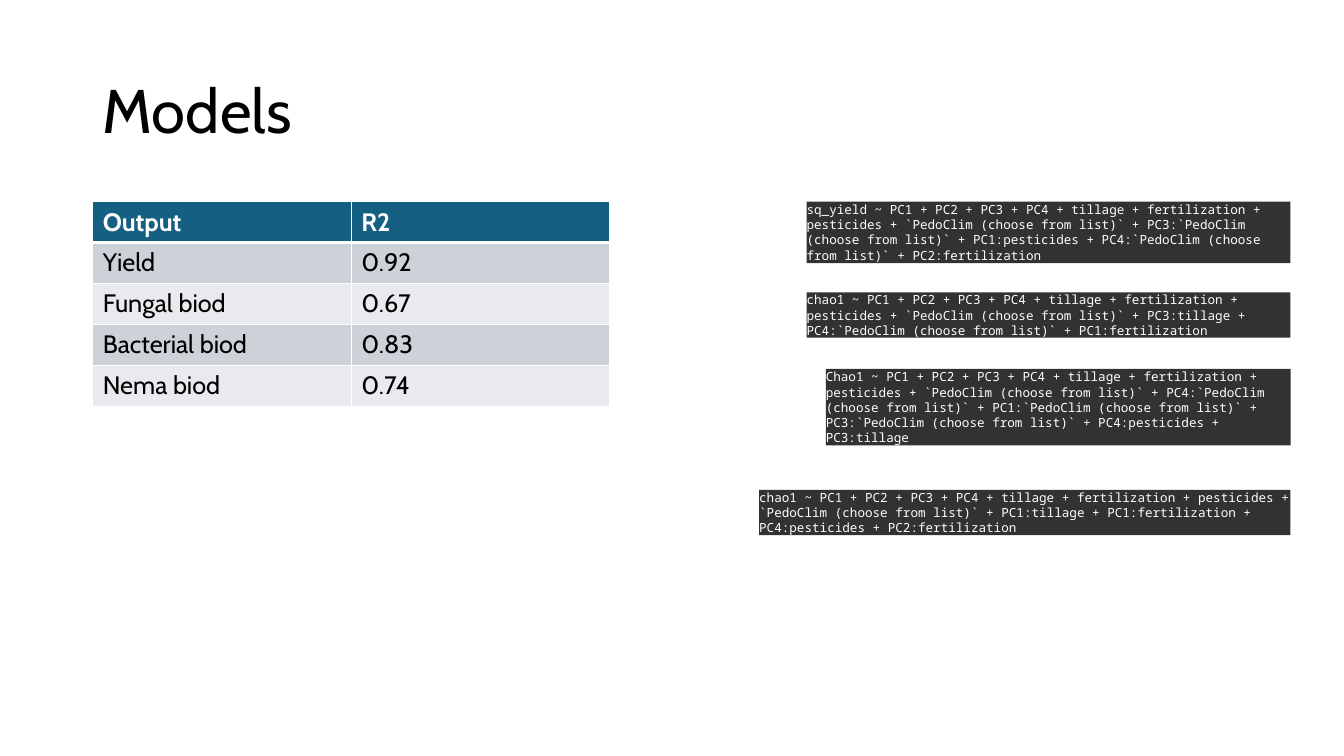
from pptx import Presentation
from pptx.dml.color import RGBColor
from pptx.enum.shapes import MSO_SHAPE
from pptx.enum.text import MSO_ANCHOR, MSO_AUTO_SIZE, PP_ALIGN
from pptx.oxml import parse_xml
from pptx.oxml.ns import nsdecls
from pptx.util import Inches, Pt

COLORS = {
    "text": "000000",
    "light": "FFFFFF",
    "header": "156082",
    "odd_row": "CCD2D8",
    "even_row": "E8EAED",
    "code": "323232",
}
BODY_FONT = "Cabin"
CODE_FONT = "Noto Sans Mono"


def rgb(name):
    return RGBColor.from_string(COLORS[name])


def write(frame, text, size=18, font=BODY_FONT, color="text", bold=False, spacing=None):
    frame.word_wrap = True
    paragraph = frame.paragraphs[0]
    paragraph.alignment = PP_ALIGN.LEFT
    if spacing:
        paragraph.line_spacing = spacing
    run = paragraph.add_run()
    run.text = text
    run.font.size = Pt(size)
    run.font.name = font
    run.font.bold = bold
    run.font.color.rgb = rgb(color)


def border(cell, side, width):
    cell._tc.get_or_add_tcPr().append(parse_xml(
        f'<a:{side} {nsdecls("a")} w="{Pt(width)}"><a:solidFill>'
        f'<a:srgbClr val="{COLORS["light"]}"/></a:solidFill></a:{side}>'))


class SlideBuilder:
    def __init__(self, slide):
        self.slide = slide

    def title(self, text, left, top, width, height):
        heading = self.slide.shapes.add_textbox(
            Inches(left), Inches(top), Inches(width), Inches(height))
        heading.text_frame.vertical_anchor = MSO_ANCHOR.MIDDLE
        write(heading.text_frame, text, size=44, spacing=0.9)

    def table(self, rows, left, top, width, height):
        grid = self.slide.shapes.add_table(
            len(rows), len(rows[0]), Inches(left), Inches(top),
            Inches(width), Inches(height)).table
        for r, row in enumerate(rows):
            header = r == 0
            fill = "header" if header else "odd_row" if r % 2 else "even_row"
            for c, text in enumerate(row):
                cell = grid.cell(r, c)
                for side in ("lnL", "lnR", "lnT", "lnB"):
                    # The rule between header and body is heavier
                    heavy = (header and side == "lnB") or (r == 1 and side == "lnT")
                    border(cell, side, 3 if heavy else 1)
                cell.fill.solid()
                cell.fill.fore_color.rgb = rgb(fill)
                write(cell.text_frame, text, bold=header,
                      color="light" if header else "text")

    def code(self, text, left, top, width, height):
        block = self.slide.shapes.add_shape(
            MSO_SHAPE.RECTANGLE, Inches(left), Inches(top), Inches(width), Inches(height))
        block.shadow.inherit = False
        block.fill.solid()
        block.fill.fore_color.rgb = rgb("code")
        block.line.fill.background()
        frame = block.text_frame
        frame.margin_left = frame.margin_right = 0
        frame.margin_top = frame.margin_bottom = 0
        frame.vertical_anchor = MSO_ANCHOR.MIDDLE
        frame.auto_size = MSO_AUTO_SIZE.SHAPE_TO_FIT_TEXT
        write(frame, text, size=9, font=CODE_FONT, color="light")


SCORES = [
    ("Output", "R2"),
    ("Yield", "0.92"),
    ("Fungal biod", "0.67"),
    ("Bacterial biod", "0.83"),
    ("Nema biod", "0.74"),
]

# Every model shares its main effects and adds its own interactions
SITE = "`PedoClim (choose from list)`"
MAIN_EFFECTS = f"PC1 + PC2 + PC3 + PC4 + tillage + fertilization + pesticides + {SITE}"
CODE_RIGHT = 12.8

# response, interactions, left, top, height
MODELS = [
    ("sq_yield", f"PC3:{SITE} + PC1:pesticides + PC4:{SITE} + PC2:fertilization",
     8, 2, 0.61),
    ("chao1", f"PC3:tillage + PC4:{SITE} + PC1:fertilization",
     8, 2.9, 0.45),
    ("Chao1", f"PC4:{SITE} + PC1:{SITE} + PC3:{SITE} + PC4:pesticides + PC3:tillage",
     8.19, 3.66, 0.76),
    ("chao1", "PC1:tillage + PC1:fertilization + PC4:pesticides + PC2:fertilization",
     7.53, 4.86, 0.45),
]


def main():
    deck = Presentation()
    deck.slide_width = Inches(13.33)
    deck.slide_height = Inches(7.5)
    builder = SlideBuilder(deck.slides.add_slide(deck.slide_layouts[6]))

    # Title and scores
    builder.title("Models", 0.92, 0.4, 11.5, 1.45)
    builder.table(SCORES, 0.92, 2, 5.13, 2.03)

    # Model formulas, aligned on the right
    for response, interactions, left, top, height in MODELS:
        builder.code(f"{response} ~ {MAIN_EFFECTS} + {interactions}",
                     left, top, CODE_RIGHT - left, height)

    deck.save("out.pptx")


if __name__ == "__main__":
    main()
